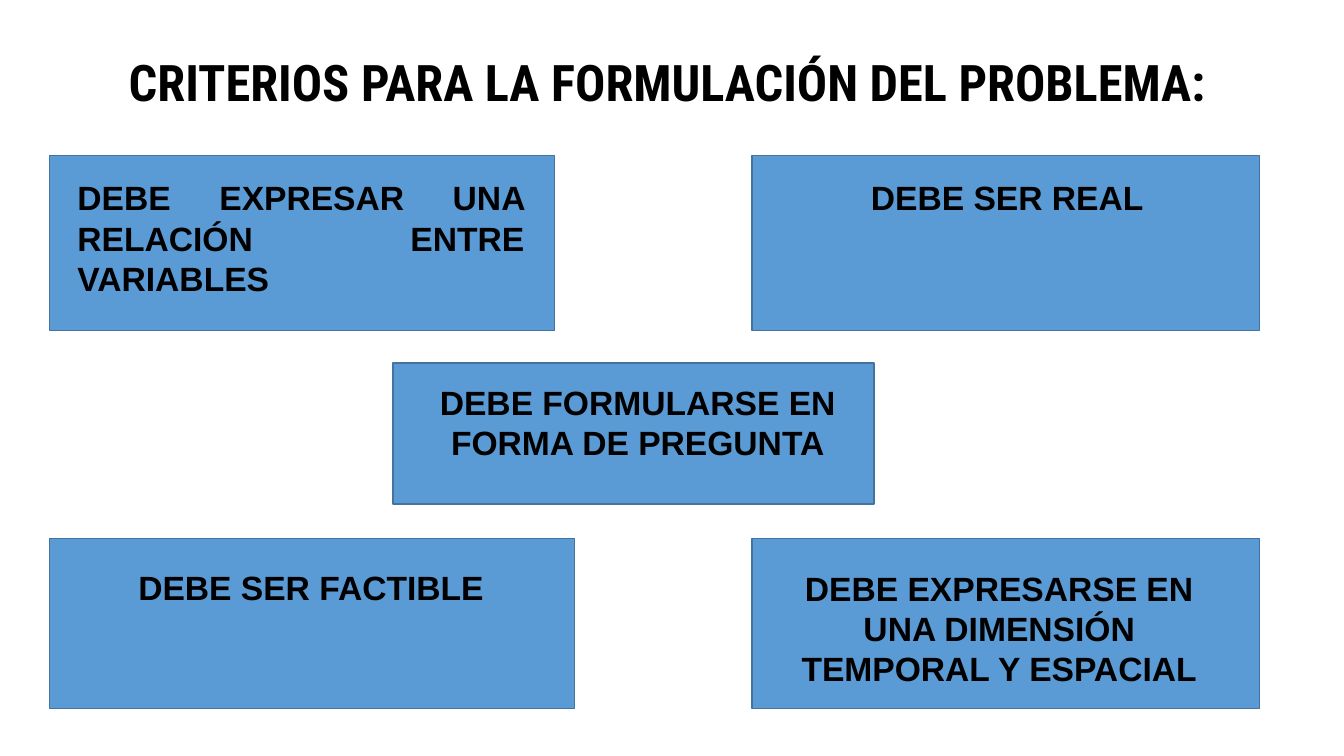
from pptx import Presentation
from pptx.dml.color import RGBColor
from pptx.enum.shapes import MSO_SHAPE
from pptx.enum.text import MSO_AUTO_SIZE, PP_ALIGN
from pptx.util import Inches, Pt

COLORS = {"fill": "5B9BD5", "line": "43739E", "text": "000000"}
TITLE = ("CRITERIOS PARA LA FORMULACIÓN DEL PROBLEMA:", (0.49, 0.46, 12.26, 0.71))
CENTER, JUSTIFY = PP_ALIGN.CENTER, PP_ALIGN.JUSTIFY
CRITERIA = [
    ("DEBE EXPRESAR UNA RELACIÓN ENTRE VARIABLES", JUSTIFY,
     (0.49, 1.54, 5.01, 1.74), (0.67, 1.71, 4.63, 1.31)),
    ("DEBE SER REAL", CENTER,
     (7.46, 1.54, 5.03, 1.74), (7.64, 1.71, 4.7, 0.5)),
    ("DEBE FORMULARSE EN FORMA DE PREGUNTA", CENTER,
     (3.9, 3.6, 4.77, 1.4), (4.17, 3.74, 4.31, 0.91)),
    ("DEBE SER FACTIBLE", CENTER,
     (0.49, 5.34, 5.21, 1.69), (0.67, 5.58, 4.83, 0.5)),
    ("DEBE EXPRESARSE EN UNA DIMENSIÓN TEMPORAL Y ESPACIAL", CENTER,
     (7.46, 5.34, 5.03, 1.69), (7.64, 5.58, 4.54, 1.31)),
]


def rgb(name):
    return RGBColor.from_string(COLORS[name])


def add_box(s, frame):
    sp = s.shapes.add_shape(MSO_SHAPE.RECTANGLE, *map(Inches, frame))
    sp.shadow.inherit = False
    sp.fill.solid()
    sp.fill.fore_color.rgb = rgb("fill")
    sp.line.color.rgb = rgb("line")
    sp.line.width = Pt(1)


def add_text(s, text, frame, align, font, size):
    tf = s.shapes.add_textbox(*map(Inches, frame)).text_frame
    tf.word_wrap = True
    tf.auto_size = MSO_AUTO_SIZE.SHAPE_TO_FIT_TEXT
    p = tf.paragraphs[0]
    p.alignment = align
    r = p.add_run()
    r.text = text
    r.font.name = font
    r.font.size = Pt(size)
    r.font.bold = True
    r.font.color.rgb = rgb("text")


def main():
    prs = Presentation()
    prs.slide_width, prs.slide_height = Inches(13.33), Inches(7.5)
    s = prs.slides.add_slide(prs.slide_layouts[6])
    for text, align, box, label in CRITERIA:
        add_box(s, box)
        add_text(s, text, label, align, "Arial", 24)
    add_text(s, *TITLE, CENTER, "Roboto Condensed", 36)
    prs.save("out.pptx")


if __name__ == "__main__":
    main()
